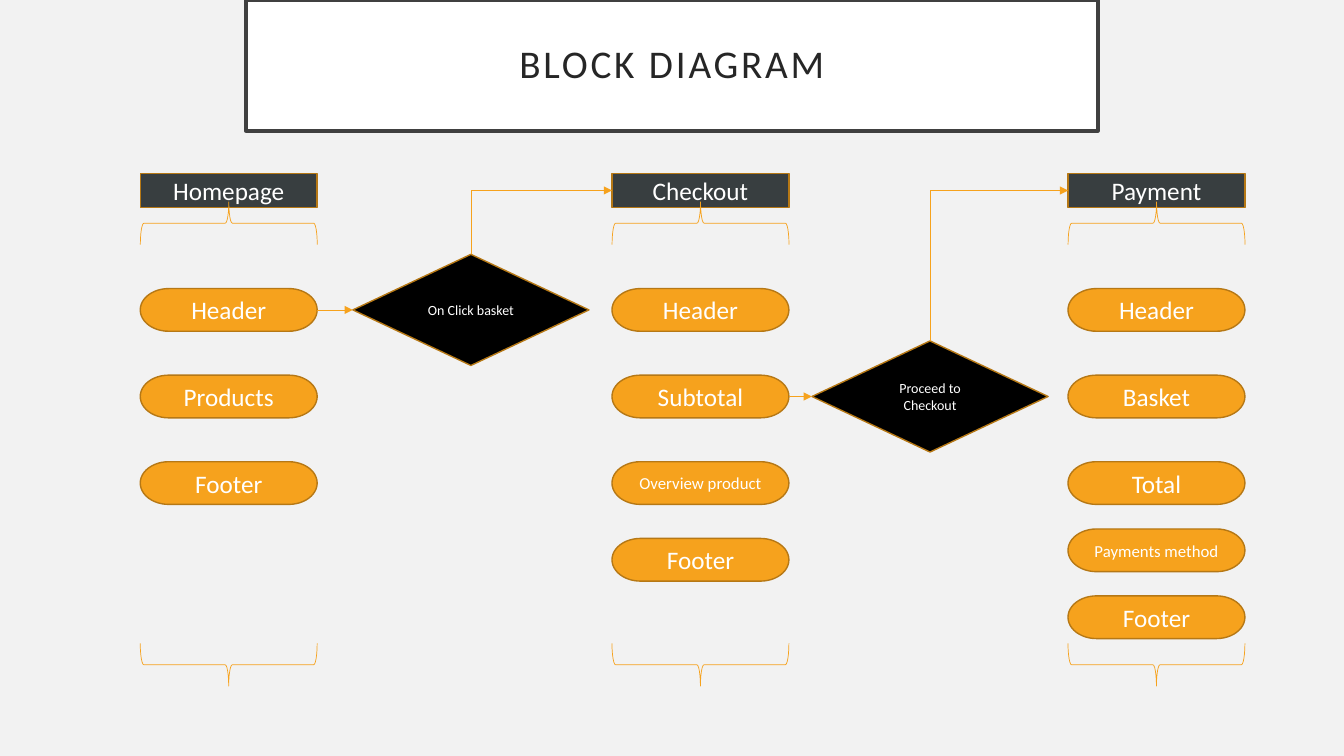
from lxml import etree
from pptx import Presentation
from pptx.dml.color import RGBColor
from pptx.enum.shapes import MSO_CONNECTOR, MSO_SHAPE
from pptx.enum.text import MSO_ANCHOR, PP_ALIGN
from pptx.oxml.ns import qn
from pptx.util import Inches, Pt

RECTANGLE = MSO_SHAPE.RECTANGLE
TERMINATOR = MSO_SHAPE.FLOWCHART_TERMINATOR
DIAMOND = MSO_SHAPE.DIAMOND
LEFT_BRACE = MSO_SHAPE.LEFT_BRACE
STRAIGHT, ELBOW = MSO_CONNECTOR.STRAIGHT, MSO_CONNECTOR.ELBOW
MIDDLE, CENTER = MSO_ANCHOR.MIDDLE, PP_ALIGN.CENTER
LEFT, RIGHT = 1, 3

PAPER = RGBColor(0xF2, 0xF2, 0xF2)
WHITE = RGBColor(0xFF, 0xFF, 0xFF)
BLACK = RGBColor(0x00, 0x00, 0x00)
INK = RGBColor(0x26, 0x26, 0x26)
FRAME = RGBColor(0x40, 0x40, 0x40)
SLATE = RGBColor(0x38, 0x3E, 0x40)
ORANGE = RGBColor(0xF6, 0xA2, 0x1D)
BROWN = RGBColor(0xB6, 0x78, 0x15)

BLOCK_WIDTH, BLOCK_HEIGHT = 13.16, 5.65
HEADER_ROW, HEADER_HEIGHT = 25.2, 4.5
TOP_BRACE_ROW, BOTTOM_BRACE_ROW = 29.53, 87.93
ROWS = [41 + 11.45 * step for step in range(3)]
PAGES = [
    ("Homepage", 17.02, [("Header", ROWS[0]), ("Products", ROWS[1]), ("Footer", ROWS[2])]),
    ("Checkout", 52.12, [("Header", ROWS[0]), ("Subtotal", ROWS[1]),
                         ("Overview product", ROWS[2]), ("Footer", 74.05)]),
    ("Payment", 86.05, [("Header", ROWS[0]), ("Basket", ROWS[1]), ("Total", ROWS[2]),
                        ("Payments method", 72.8), ("Footer", 81.65)]),
]
DECISIONS = [
    ("On Click basket", 35.04, ROWS[0], ("Homepage", "Header"), "Checkout"),
    ("Proceed to Checkout", 69.2, ROWS[1], ("Checkout", "Subtotal"), "Payment"),
]


class BlockDiagram:
    """Draws diagram elements centred at percentages of the slide's size."""

    def __init__(self, deck):
        self.deck = deck
        self.font = "Calibri"
        self.page = deck.slides.add_slide(deck.slide_layouts[5])
        self.page.background.fill.solid()
        self.page.background.fill.fore_color.rgb = PAPER

    def across(self, share):
        return round(self.deck.slide_width * share / 100)

    def down(self, share):
        return round(self.deck.slide_height * share / 100)

    def paint(self, shape, fill, line, weight):
        shape.fill.solid()
        shape.fill.fore_color.rgb = fill
        shape.line.color.rgb = line
        shape.line.width = Pt(weight)

    def label(self, shape, text, size, color):
        frame = shape.text_frame
        frame.word_wrap = True
        frame.vertical_anchor = MIDDLE
        para = frame.paragraphs[0]
        para.alignment = CENTER
        span = para.add_run()
        span.text = text
        para.font.name = self.font
        para.font.size = Pt(size)
        para.font.color.rgb = color
        return para, span

    def title(self, text, width, height):
        box = self.page.shapes.title
        box.left, box.top = self.across(50 - width / 2), 0
        box.width, box.height = self.across(width), self.down(height)
        self.paint(box, WHITE, FRAME, 2.5)
        para, span = self.label(box, text, 28, INK)
        para.line_spacing = 0.9
        span._r.get_or_add_rPr().set("spc", "200")
        frame = box.text_frame
        frame.margin_left = frame.margin_right = Inches(0.2)
        frame.margin_top = frame.margin_bottom = Inches(0.2)

    def block(self, kind, text, column, row, width, height, fill, size):
        box = self.page.shapes.add_shape(
            kind, self.across(column - width / 2), self.down(row - height / 2),
            self.across(width), self.down(height))
        box.shadow.inherit = False
        self.paint(box, fill, BROWN, 1)
        self.label(box, text, size, WHITE)
        return box

    def brace(self, column, row, rotation):
        depth, length = self.down(BLOCK_HEIGHT), self.across(BLOCK_WIDTH)
        brace = self.page.shapes.add_shape(
            LEFT_BRACE, self.across(column) - depth // 2, self.down(row) - length // 2,
            depth, length)
        brace.rotation = rotation
        brace.shadow.inherit = False
        brace.fill.background()
        brace.line.color.rgb = ORANGE
        brace.line.width = Pt(0.5)

    def connector(self, kind, begin_x, begin_y, end_x, end_y):
        arrow = self.page.shapes.add_connector(kind, begin_x, begin_y, end_x, end_y)
        arrow.line.color.rgb = ORANGE
        arrow.line.width = Pt(0.5)
        properties = arrow._element.spPr
        etree.SubElement(properties.find(qn("a:ln")), qn("a:tailEnd"), type="triangle")
        etree.SubElement(properties, qn("a:effectLst"))
        return arrow

    def straight_arrow(self, source, target):
        arrow = self.connector(STRAIGHT, 0, 0, 0, 0)
        arrow.begin_connect(source, RIGHT)
        arrow.end_connect(target, LEFT)

    def corner_arrow(self, source, target):
        """Rises from the source's top, then turns right to the target's left side."""
        begin_x, begin_y = source.left + source.width // 2, source.top
        end_x, end_y = target.left, target.top + target.height // 2
        middle_x, middle_y = (begin_x + end_x) // 2, (begin_y + end_y) // 2
        half_rise, half_run = (begin_y - end_y) // 2, (end_x - begin_x) // 2
        arrow = self.connector(ELBOW, middle_x + half_rise, middle_y + half_run,
                               middle_x - half_rise, middle_y - half_run)
        properties = arrow._element.spPr
        properties.find(qn("a:xfrm")).set("rot", "5400000")
        properties.find(qn("a:prstGeom")).set("prst", "bentConnector2")


def main():
    deck = Presentation()
    deck.slide_width, deck.slide_height = Inches(13.33), Inches(7.5)
    diagram = BlockDiagram(deck)
    diagram.title("BLOCK DIAGRAM", 63.38, 17.33)

    headers, blocks = {}, {}
    for name, column, parts in PAGES:
        headers[name] = diagram.block(RECTANGLE, name, column, HEADER_ROW,
                                      BLOCK_WIDTH, HEADER_HEIGHT, SLATE, 18)
        diagram.brace(column, TOP_BRACE_ROW, 90)
        diagram.brace(column, BOTTOM_BRACE_ROW, 270)
        for part, row in parts:
            size = 12 if len(part) > 10 else 18
            blocks[name, part] = diagram.block(TERMINATOR, part, column, row,
                                               BLOCK_WIDTH, BLOCK_HEIGHT, ORANGE, size)

    for text, column, row, source, target in DECISIONS:
        decision = diagram.block(DIAMOND, text, column, row, 17.57, 14.7, BLACK, 10)
        diagram.straight_arrow(blocks[source], decision)
        diagram.corner_arrow(decision, headers[target])

    deck.save("out.pptx")


if __name__ == "__main__":
    main()
